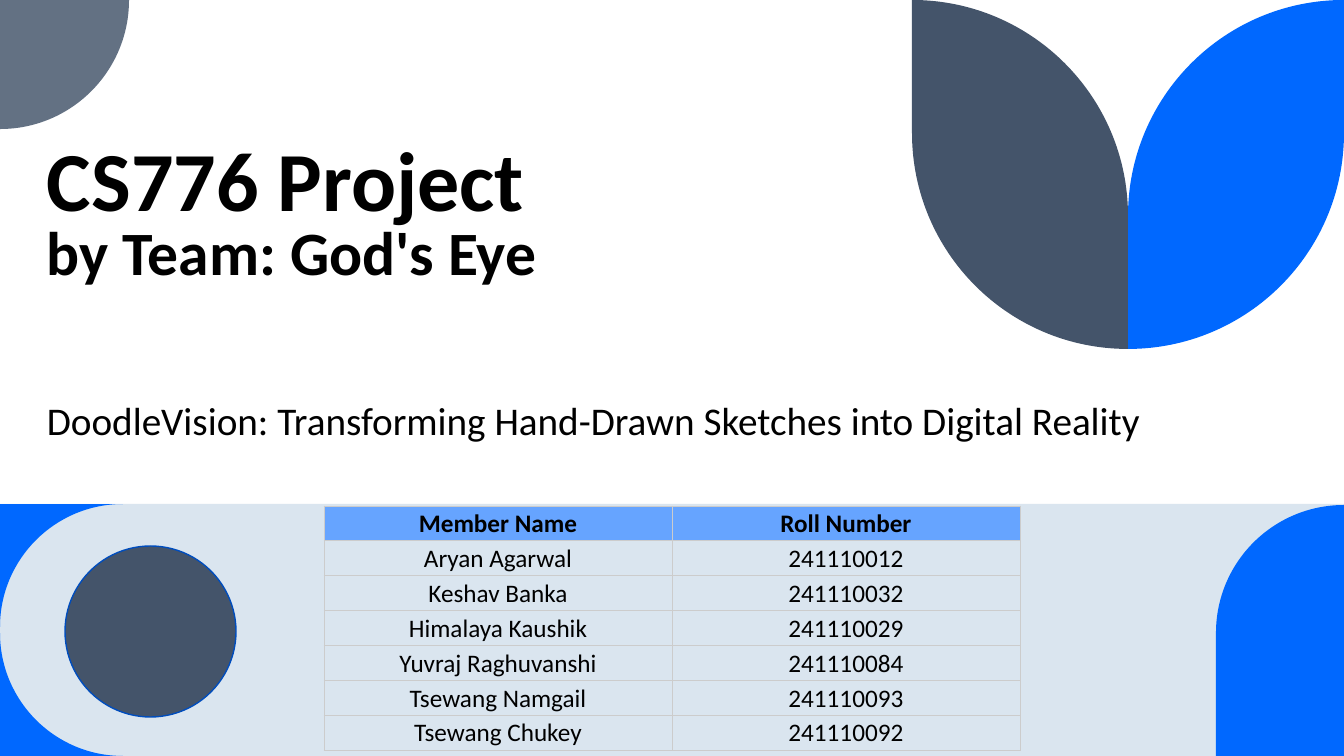
from lxml.etree import SubElement
from pptx import Presentation
from pptx.dml.color import RGBColor
from pptx.enum.shapes import MSO_SHAPE as Shape
from pptx.enum.text import MSO_ANCHOR as Anchor, PP_ALIGN as Align
from pptx.oxml.ns import qn
from pptx.util import Pt

TITLE_LINES = [  # text, size, bold, space before in points
    ("CS776 Project", 60, True, 0),
    ("by Team: God's Eye", 44, True, 0),
    ("DoodleVision: Transforming Hand-Drawn Sketches into Digital Reality", 28, False, 84.5),
]
MEMBERS = [
    ("Member Name", "Roll Number"),
    ("Aryan Agarwal", "241110012"),
    ("Keshav Banka", "241110032"),
    ("Himalaya Kaushik", "241110029"),
    ("Yuvraj Raghuvanshi", "241110084"),
    ("Tsewang Namgail", "241110093"),
    ("Tsewang Chukey", "241110092"),
]
FONT = "Calibri"
BLACK, BLUE, SLATE, GREY = "000000", "0068FF", "44546A", "637183"
BAND, HEADER, RING, GRID = "DAE5EF", "66A4FF", "004DBD", "CCCCCC"
WIDTH, HEIGHT, BAND_TOP = 1344, 756, 504
TABLE_LEFT, TABLE_TOP, COLUMN_WIDTH, ROW_HEIGHT = 324, 506, 348, 35
STEM, LEAF_RADIUS, LEAF_BOTTOM = 1128, 216, 349
CORNER, QUARTER, ARCH = 123, 129, 128
ARC_RATIO = 0.5523  # control distance of a quarter circle
EMU_PER_PX = 914400 / 100.8

# Each outline is a start point followed by steps: one point is a straight
# line, a pair (corner, end) is a quarter circle bulging towards that corner.
LEAF = [
    (WIDTH, 0),
    (WIDTH, LEAF_BOTTOM - LEAF_RADIUS),
    ((WIDTH, LEAF_BOTTOM), (STEM, LEAF_BOTTOM)),
    (STEM, LEAF_RADIUS),
    ((STEM, 0), (WIDTH, 0)),
]
TOP_CORNER = [(0, BAND_TOP), (CORNER, BAND_TOP), ((0, BAND_TOP), (0, BAND_TOP + CORNER))]
BOTTOM_CORNER = [(0, HEIGHT), (0, HEIGHT - CORNER), ((0, HEIGHT), (CORNER, HEIGHT))]
QUARTER_DISC = [(0, 0), (QUARTER, 0), ((QUARTER, QUARTER), (0, QUARTER))]
ARCH_OUTLINE = [
    (WIDTH, HEIGHT),
    (WIDTH - ARCH, HEIGHT),
    (WIDTH - ARCH, BAND_TOP + 1 + ARCH),
    ((WIDTH - ARCH, BAND_TOP + 1), (WIDTH, BAND_TOP + 1)),
]


def px(value):
    return round(value * EMU_PER_PX)


def color(value):
    return RGBColor.from_string(value)


def is_arc(step):
    return isinstance(step[0], tuple)


def mirror(step):
    """Reflect a point or an arc step across the stem."""
    if is_arc(step):
        return tuple(mirror(point) for point in step)
    return 2 * STEM - step[0], step[1]


def toward(point, corner):
    return tuple(p + ARC_RATIO * (c - p) for p, c in zip(point, corner))


def paint(shape, fill, line=None):
    shape.shadow.inherit = False
    shape.fill.solid()
    shape.fill.fore_color.rgb = color(fill)
    if line:
        shape.line.color.rgb = color(line)
        shape.line.width = Pt(1)
    else:
        shape.line.fill.background()


def add_preset(slide, kind, left, top, width, height, fill, line=None):
    paint(slide.shapes.add_shape(kind, px(left), px(top), px(width), px(height)), fill, line)


def add_outline(slide, steps, fill):
    """Draw the steps as straight segments, then join each arc's three into a curve."""
    points = [steps[0]]
    arc_starts = []
    for step in steps[1:]:
        if is_arc(step):
            corner, end = step
            arc_starts.append(len(points))
            points += [toward(points[-1], corner), toward(end, corner), end]
        else:
            points.append(step)
    points = [(px(x), px(y)) for x, y in points]
    builder = slide.shapes.build_freeform(*points[0], scale=1.0)
    builder.add_line_segments(points[1:], close=True)
    shape = builder.convert_to_shape()
    segments = list(next(shape._element.iter(qn("a:path"))))
    for start in arc_starts:
        first, *others = segments[start:start + 3]
        curve = first.makeelement(qn("a:cubicBezTo"), {})
        first.addprevious(curve)
        for segment in (first, *others):
            curve.append(segment[0])
            segment.getparent().remove(segment)
    paint(shape, fill)


def write(paragraph, text, size=18, bold=False, align=Align.LEFT, before=0, spacing=1.0):
    paragraph.alignment = align
    paragraph.space_before = Pt(before)
    paragraph.line_spacing = spacing
    run = paragraph.add_run()
    run.text = text
    run.font.name, run.font.size, run.font.bold = FONT, Pt(size), bold
    run.font.color.rgb = color(BLACK)


def add_borders(cell):
    properties = cell._tc.get_or_add_tcPr()
    for index, side in enumerate(("lnL", "lnR", "lnT", "lnB")):
        line = properties.makeelement(qn(f"a:{side}"), {"w": str(Pt(0.75))})
        fill = SubElement(line, qn("a:solidFill"))
        SubElement(fill, qn("a:srgbClr"), val=GRID)
        properties.insert(index, line)


def add_decoration(slide):
    add_preset(slide, Shape.RECTANGLE, 0, BAND_TOP, WIDTH, HEIGHT - BAND_TOP, BAND)
    add_preset(slide, Shape.OVAL, 65, 546, 171, 171, SLATE, RING)
    add_outline(slide, TOP_CORNER, BLUE)
    add_outline(slide, BOTTOM_CORNER, BLUE)
    add_outline(slide, LEAF, BLUE)
    add_outline(slide, [mirror(step) for step in LEAF], SLATE)
    add_outline(slide, QUARTER_DISC, GREY)
    add_outline(slide, ARCH_OUTLINE, BLUE)


def add_title(slide):
    frame = slide.shapes.add_textbox(px(37), px(25), px(1276), px(423)).text_frame
    frame.word_wrap = True
    frame.vertical_anchor = Anchor.BOTTOM
    for index, (text, size, bold, before) in enumerate(TITLE_LINES):
        paragraph = frame.add_paragraph() if index else frame.paragraphs[0]
        write(paragraph, text, size=size, bold=bold, before=before, spacing=0.8)


def add_members(slide):
    rows, columns = len(MEMBERS), len(MEMBERS[0])
    table = slide.shapes.add_table(
        rows, columns, px(TABLE_LEFT), px(TABLE_TOP),
        px(columns * COLUMN_WIDTH), px(rows * ROW_HEIGHT)).table
    table.horz_banding = False
    for row, values in enumerate(MEMBERS):
        for column, text in enumerate(values):
            cell = table.cell(row, column)
            cell.margin_left = cell.margin_right = px(3)
            cell.margin_top = cell.margin_bottom = px(2)
            cell.vertical_anchor = Anchor.BOTTOM
            if row == 0:
                cell.fill.solid()
                cell.fill.fore_color.rgb = color(HEADER)
            else:
                cell.fill.background()
            add_borders(cell)
            write(cell.text_frame.paragraphs[0], text, bold=row == 0, align=Align.CENTER)


def main():
    presentation = Presentation()
    presentation.slide_width, presentation.slide_height = px(WIDTH), px(HEIGHT)
    slide = presentation.slides.add_slide(presentation.slide_layouts[6])
    add_decoration(slide)
    add_title(slide)
    add_members(slide)
    presentation.save("out.pptx")


if __name__ == "__main__":
    main()
